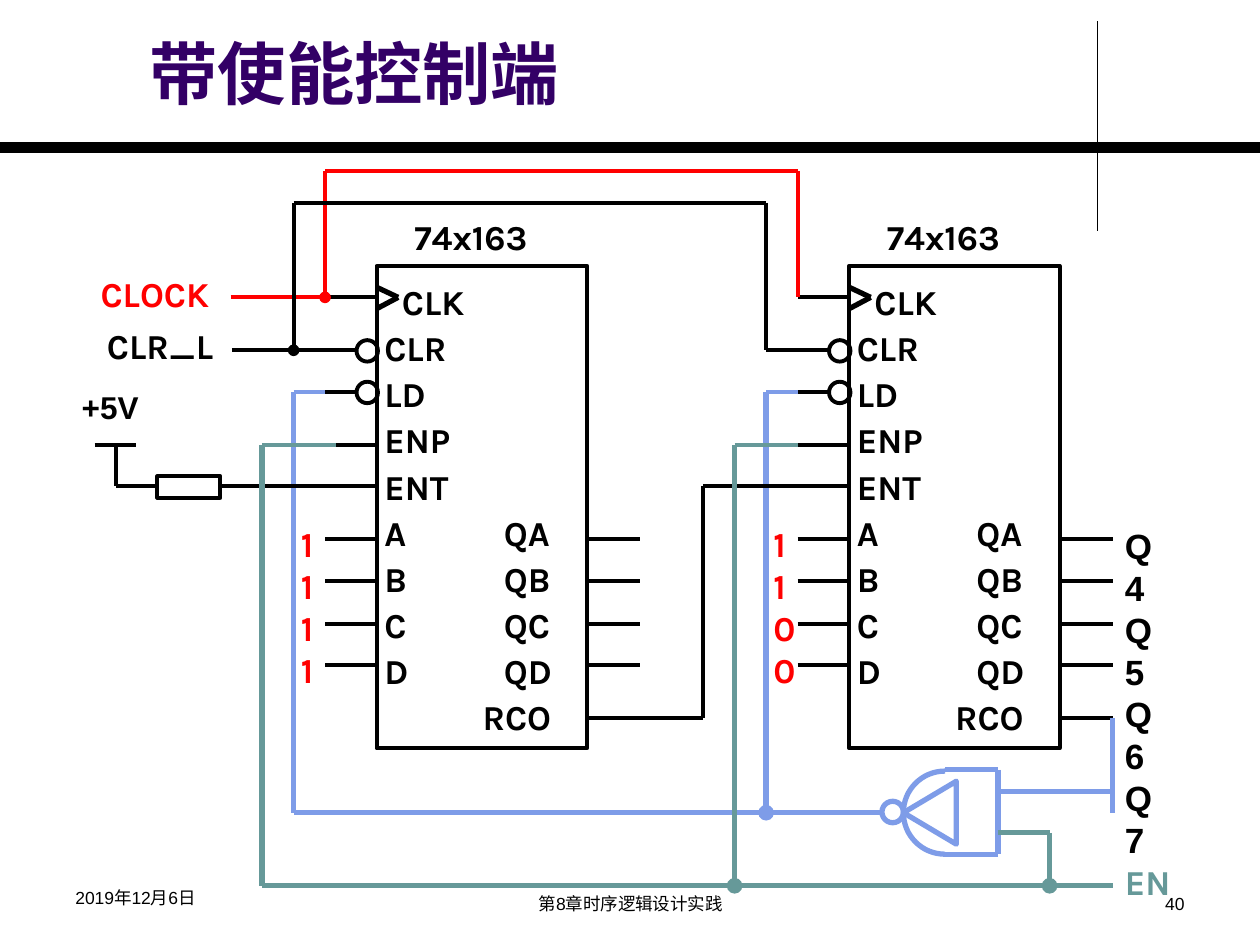
"""Builds a slide showing two cascaded 74x163 counters with an enable input."""
import math

from pptx import Presentation
from pptx import util as u
from pptx.dml.color import RGBColor
from pptx.enum import shapes, text
from pptx.oxml.ns import qn
from lxml import etree


class Theme:
    black = RGBColor(0, 0, 0)
    red = RGBColor(0xFF, 0, 0)
    blue = RGBColor(0x7E, 0x9C, 0xE8)
    teal = RGBColor(0x66, 0x99, 0x99)
    purple = RGBColor(0x33, 0, 0x66)
    label_font, plain_font = "Karla", "Arial"
    title, label, supply, footer = 39, 20, 18, 10
    hair, wire, bus, rule = 0.75, 2.25, 3, 6


prs = Presentation()
prs.slide_width, prs.slide_height = u.Inches(10), u.Inches(7.5)
s = prs.slides.add_slide(prs.slide_layouts[6])


def wire(points, color=Theme.black, width=Theme.wire, dot=False):
    for start, end in zip(points, points[1:]):
        c = s.shapes.add_connector(
            shapes.MSO_CONNECTOR.STRAIGHT, *(u.Inches(v) for v in (*start, *end)))
        c.line.color.rgb = color
        c.line.width = u.Pt(width)
        etree.SubElement(c._element.spPr, qn("a:effectLst"))
    if dot:
        etree.SubElement(c.line._get_or_add_ln(), qn("a:tailEnd"), type="oval")


def label(sp, words, color=Theme.black, size=Theme.label, font=Theme.label_font,
          bold=True, wrap=False, align=text.PP_ALIGN.LEFT, spacing=None):
    tf = sp.text_frame
    tf.word_wrap = wrap
    tf.text = words
    for p in tf.paragraphs:
        p.alignment = align
        if spacing:
            p.line_spacing = u.Pt(spacing)
        for r in p.runs:
            r.font.name, r.font.size, r.font.bold = font, u.Pt(size), bold
            r.font.color.rgb = color
    return tf


wire([(8.71, 0.17), (8.71, 1.83)], width=Theme.hair)
wire([(0, 1.17), (10, 1.17)], width=Theme.rule)

chips = (2.99, 6.74)
data_rows = (4.28, 4.61, 4.95, 5.28)
pins = "CLK\nCLR\nLD\nENP\nENT\nA\tQA\nB\tQB\nC\tQC\nD\tQD\nRCO"
indents = {"CLK": 0.14, "RCO": 0.78}

RECT, OVAL = shapes.MSO_SHAPE.RECTANGLE, shapes.MSO_SHAPE.OVAL
outlines = [(RECT, x, 2.11, 1.67, 3.83, Theme.black, Theme.wire) for x in chips]
outlines += [(OVAL, x - 0.16, y, 0.17, 0.17, Theme.black, Theme.wire)
             for x in chips for y in (2.7, 3.03)]
outlines += [
    (RECT, 1.25, 3.78, 0.5, 0.17, Theme.black, Theme.wire),
    (OVAL, 7, 6.36, 0.17, 0.17, Theme.blue, Theme.bus),
    (shapes.MSO_SHAPE.ISOSCELES_TRIANGLE, 7.13, 6.24, 0.5, 0.42, Theme.blue, Theme.bus),
]
for kind, x, y, w, h, color, width in outlines:
    sp = s.shapes.add_shape(kind, *(u.Inches(v) for v in (x, y, w, h)))
    sp.shadow.inherit = False
    sp.fill.background()
    sp.line.color.rgb = color
    sp.line.width = u.Pt(width)
    if kind == shapes.MSO_SHAPE.ISOSCELES_TRIANGLE:
        sp.rotation = 270
    if x in chips:
        tf = label(sp, pins, wrap=True, spacing=26.4)
        tf.vertical_anchor = text.MSO_ANCHOR.MIDDLE
        tf.margin_left = u.Inches(0.06)
        for p in tf.paragraphs:
            pPr = p._p.get_or_add_pPr()
            if p.text in indents:
                pPr.set("marL", str(u.Inches(indents[p.text])))
            if "\t" in p.text:
                tabs = etree.SubElement(pPr, qn("a:tabLst"))
                etree.SubElement(tabs, qn("a:tab"), pos=str(u.Inches(0.95)), algn="l")

for x in chips:
    wire([(x, 2.28), (x + 0.17, 2.36), (x, 2.45)], width=Theme.bus)
    for y in (2.78, 3.11):
        wire([(x - 0.41, y), (x - 0.16, y)])
    for y in (2.36, 3.53, 3.86, *data_rows):
        wire([(x - 0.41, y), (x, y)])
    for y in (*data_rows, 5.7):
        wire([(x + 1.67, y), (x + 2.09, y)])

wire([(2.33, 3.11), (2.33, 6.45), (7, 6.45)], Theme.blue, Theme.bus)
wire([(6.08, 3.11), (6.08, 6.45)], Theme.blue, Theme.bus, dot=True)
for x in (2.33, 6.08):
    wire([(x, 3.11), (x + 0.25, 3.11)], Theme.blue)
wire([(8.83, 5.7), (8.83, 6.45)], Theme.blue, Theme.bus)

wire([(1.83, 2.36), (2.58, 2.36)], Theme.red)
wire([(2.58, 1.36), (2.58, 2.36)], Theme.red, dot=True)
wire([(2.58, 1.36), (6.33, 1.36), (6.33, 2.36)], Theme.red)
wire([(1.84, 2.78), (2.59, 2.78)])
wire([(2.33, 1.61), (2.33, 2.78)], dot=True)
wire([(2.33, 1.61), (6.08, 1.61), (6.08, 2.78), (6.33, 2.78)])

wire([(0.75, 3.53), (1.08, 3.53)])
wire([(0.92, 3.53), (0.92, 3.86), (1.25, 3.86)])
wire([(1.75, 3.86), (2.58, 3.86)])
wire([(5.01, 5.7), (5.58, 5.7), (5.58, 3.86), (6.33, 3.86)])

for x, end, dot in ((2.08, 2.67, False), (5.83, 6.33, True)):
    wire([(x, 3.53), (end, 3.53)], Theme.teal)
    wire([(x, 3.53), (x, 7.03)], Theme.teal, Theme.bus, dot)
wire([(2.08, 7.03), (8.83, 7.03)], Theme.teal, Theme.bus)

arc = [(u.Inches(7.5 - 0.33 * math.sin(a)), u.Inches(6.45 + 0.33 * math.cos(a)))
       for a in (math.pi * i / 32 for i in range(33))]
fb = s.shapes.build_freeform(*arc[0])
fb.add_line_segments(arc[1:], close=False)
gate = fb.convert_to_shape()
gate.shadow.inherit = False
gate.fill.background()
gate.line.color.rgb = Theme.blue
gate.line.width = u.Pt(Theme.bus)
wire([(7.5, 6.11), (7.92, 6.11), (7.92, 6.78), (7.5, 6.78)], Theme.blue, Theme.bus)
wire([(7.92, 6.28), (8.83, 6.28)], Theme.blue, Theme.bus)
wire([(7.92, 6.61), (8.33, 6.61), (8.33, 7.03)], Theme.teal, Theme.bus, dot=True)

footer = dict(size=Theme.footer, font=Theme.plain_font, bold=False, wrap=True)
labels = [
    (3.19, 1.66, 1.26, 0.43, "74x163", dict(spacing=24)),
    (6.94, 1.66, 1.26, 0.43, "74x163", dict(spacing=24)),
    (2.29, 4.1, 0.38, 1.43, "1\n1\n1\n1", dict(color=Theme.red, spacing=24)),
    (6.04, 4.1, 0.38, 1.43, "1\n1\n0\n0", dict(color=Theme.red, spacing=24)),
    (0.7, 2.11, 1.14, 0.43, "CLOCK", dict(color=Theme.red, spacing=24)),
    (0.75, 2.53, 1.09, 0.43, "CLR_L", dict(spacing=24)),
    (0.55, 3.03, 0.7, 0.5, "+5V", dict(size=Theme.supply, font=Theme.plain_font)),
    (8.83, 4.11, 0.51, 1.43, "Q4\nQ5\nQ6\nQ7",
     dict(font=Theme.plain_font, wrap=True, spacing=24)),
    (8.83, 6.78, 0.59, 0.43, "EN", dict(color=Theme.teal, spacing=24)),
    (0.5, 6.99, 2.33, 0.34, "2019年12月6日", footer),
    (3.42, 7.04, 3.17, 0.29, "第8章时序逻辑设计实践",
     dict(footer, align=text.PP_ALIGN.CENTER)),
    (7.17, 7.04, 2.33, 0.29, "40", dict(footer, align=text.PP_ALIGN.RIGHT)),
    (1.09, 0.2, 7.55, 0.81, "带使能控制端",
     dict(color=Theme.purple, size=Theme.title, font=Theme.plain_font, wrap=True)),
]
for x, y, w, h, words, style in labels:
    label(s.shapes.add_textbox(*(u.Inches(v) for v in (x, y, w, h))), words, **style)

prs.save("out.pptx")
